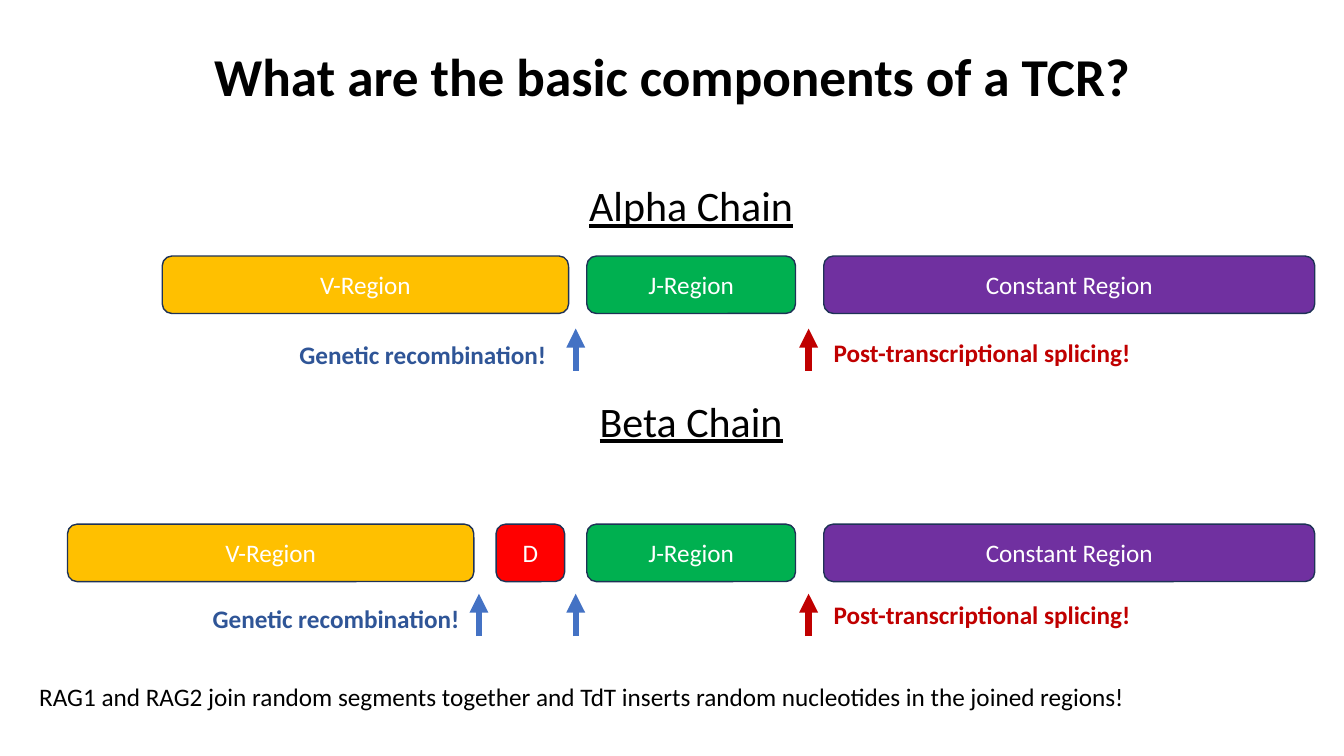
from lxml.etree import SubElement
from pptx import Presentation
from pptx.dml.color import RGBColor
from pptx.enum.shapes import MSO_CONNECTOR as Connector, MSO_SHAPE as Shape
from pptx.enum.text import MSO_ANCHOR as Anchor, MSO_AUTO_SIZE as AutoSize, PP_ALIGN as Align
from pptx.oxml.ns import qn
from pptx.util import Inches, Pt

BLUE, NAVY, CRIMSON = "4472C4", "2F5597", "C00000"


def color(value):
    return RGBColor.from_string(value)


def write(frame, text, size=18, ink="000000", bold=False, underline=False,
          align=Align.LEFT, anchor=Anchor.TOP, spacing=None):
    frame.word_wrap = True
    frame.vertical_anchor = anchor
    para = frame.paragraphs[0]
    para.alignment = align
    if spacing:
        para.line_spacing = spacing
    span = para.add_run()
    span.text = text
    font = span.font
    font.name, font.size, font.bold, font.underline = "Calibri", Pt(size), bold, underline
    font.color.rgb = color(ink)


class ChainPage:
    """Draws receptor chain elements on one slide in a shared style."""

    def __init__(self, deck):
        self.page = deck.slides.add_slide(deck.slide_layouts[5])
        self.shapes = self.page.shapes

    def title(self, text):
        box = self.shapes.title
        box.left, box.top, box.width, box.height = map(Inches, (0.92, 0.4, 11.5, 0.77))
        write(box.text_frame, text, size=38, bold=True, align=Align.CENTER,
              anchor=Anchor.MIDDLE, spacing=0.9)
        box.text_frame.auto_size = AutoSize.NONE

    def label(self, text, left, top, width, height=0.4, **style):
        box = self.shapes.add_textbox(*map(Inches, (left, top, width, height)))
        write(box.text_frame, text, **style)
        box.text_frame.auto_size = AutoSize.SHAPE_TO_FIT_TEXT

    def region(self, text, left, top, width, fill):
        box = self.shapes.add_shape(Shape.ROUNDED_RECTANGLE,
                                    *map(Inches, (left, top, width, 0.57)))
        box.shadow.inherit = False
        box.fill.solid()
        box.fill.fore_color.rgb = color(fill)
        box.line.color.rgb = color("1E3256")
        box.line.width = Pt(1)
        write(box.text_frame, text, ink="FFFFFF", align=Align.CENTER, anchor=Anchor.MIDDLE)

    def arrow(self, x, tip, ink):
        line = self.shapes.add_connector(Connector.STRAIGHT,
                                         *map(Inches, (x, tip + 0.42, x, tip)))
        line.line.color.rgb = color(ink)
        line.line.width = Pt(4.5)
        SubElement(line.line._get_or_add_ln(), qn("a:tailEnd"), type="triangle")
        SubElement(line._element.spPr, qn("a:effectLst"))

    def chain(self, name, name_top, bar_top, v_left, arrow_top, joins):
        self.label(name, 5.08, name_top, 3.55, 0.61, size=30, underline=True,
                   align=Align.CENTER)
        for text, left, width, fill in (("V-Region", v_left, 4.03, "FFC000"),
                                        ("J-Region", 5.82, 2.07, "00B050"),
                                        ("Constant Region", 8.17, 4.87, "7030A0")):
            self.region(text, left, bar_top, width, fill)
        for x in joins:
            self.arrow(x, arrow_top, BLUE)
        self.arrow(8.02, arrow_top, CRIMSON)


def main():
    deck = Presentation()
    deck.slide_width, deck.slide_height = Inches(13.33), Inches(7.5)
    page = ChainPage(deck)
    page.title("What are the basic components of a TCR?")
    page.chain("Alpha Chain", 1.73, 2.54, 1.61, 3.26, [5.71])
    page.chain("Beta Chain", 3.87, 5.2, 0.67, 5.89, [4.75, 5.71])
    page.region("D", 4.92, 5.2, 0.68, "FF0000")
    for left, top, width in ((2.87, 3.32, 2.71), (2.01, 5.94, 2.79)):
        page.label("Genetic recombination!", left, top, width, ink=NAVY, bold=True)
    for top in (3.3, 5.9):
        page.label("Post-transcriptional splicing!", 8.17, top, 3.52, ink=CRIMSON, bold=True)
    page.label("RAG1 and RAG2 join random segments together and TdT inserts "
               "random nucleotides in the joined regions!", 0.29, 6.71, 11.57)
    deck.save("out.pptx")


if __name__ == "__main__":
    main()
